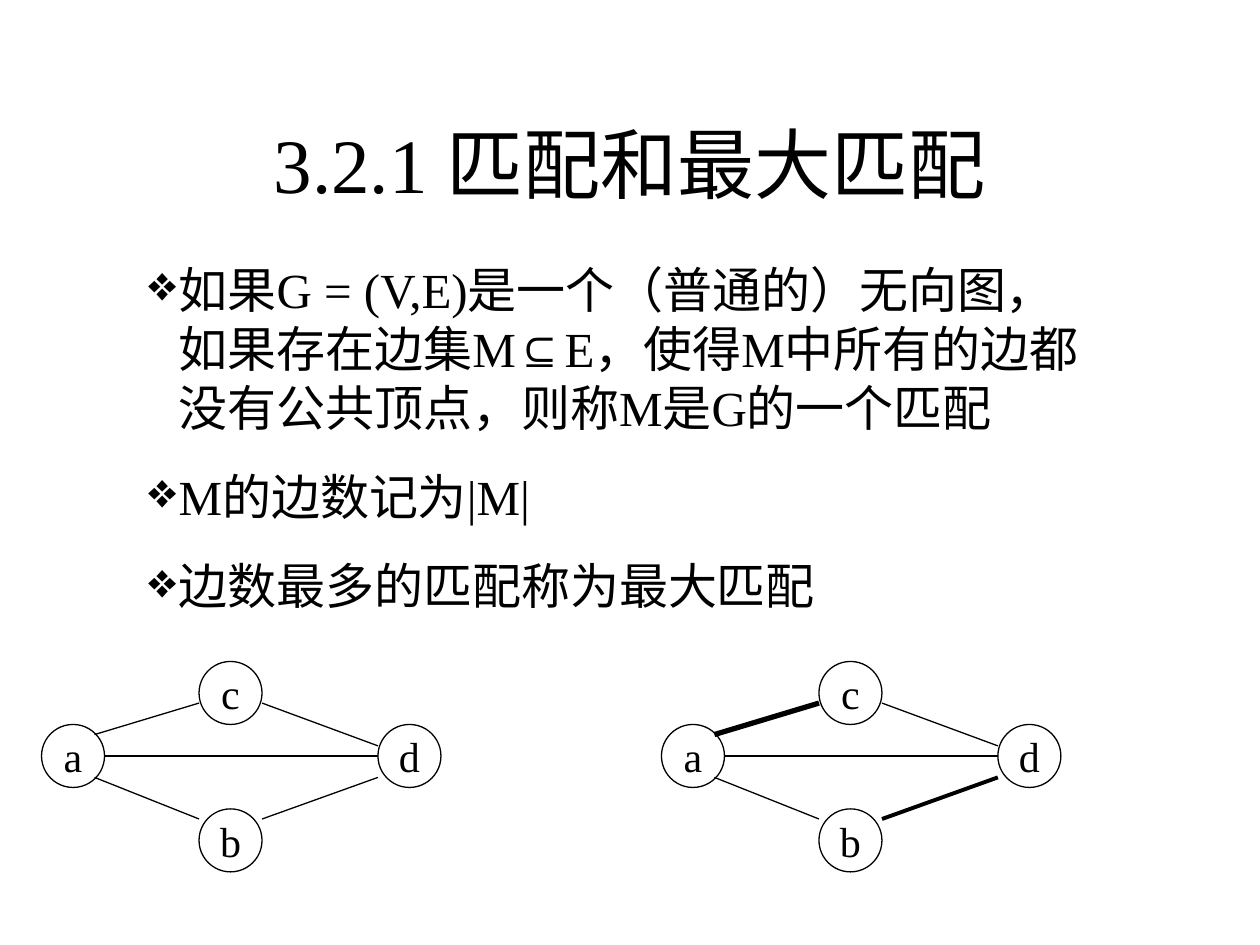
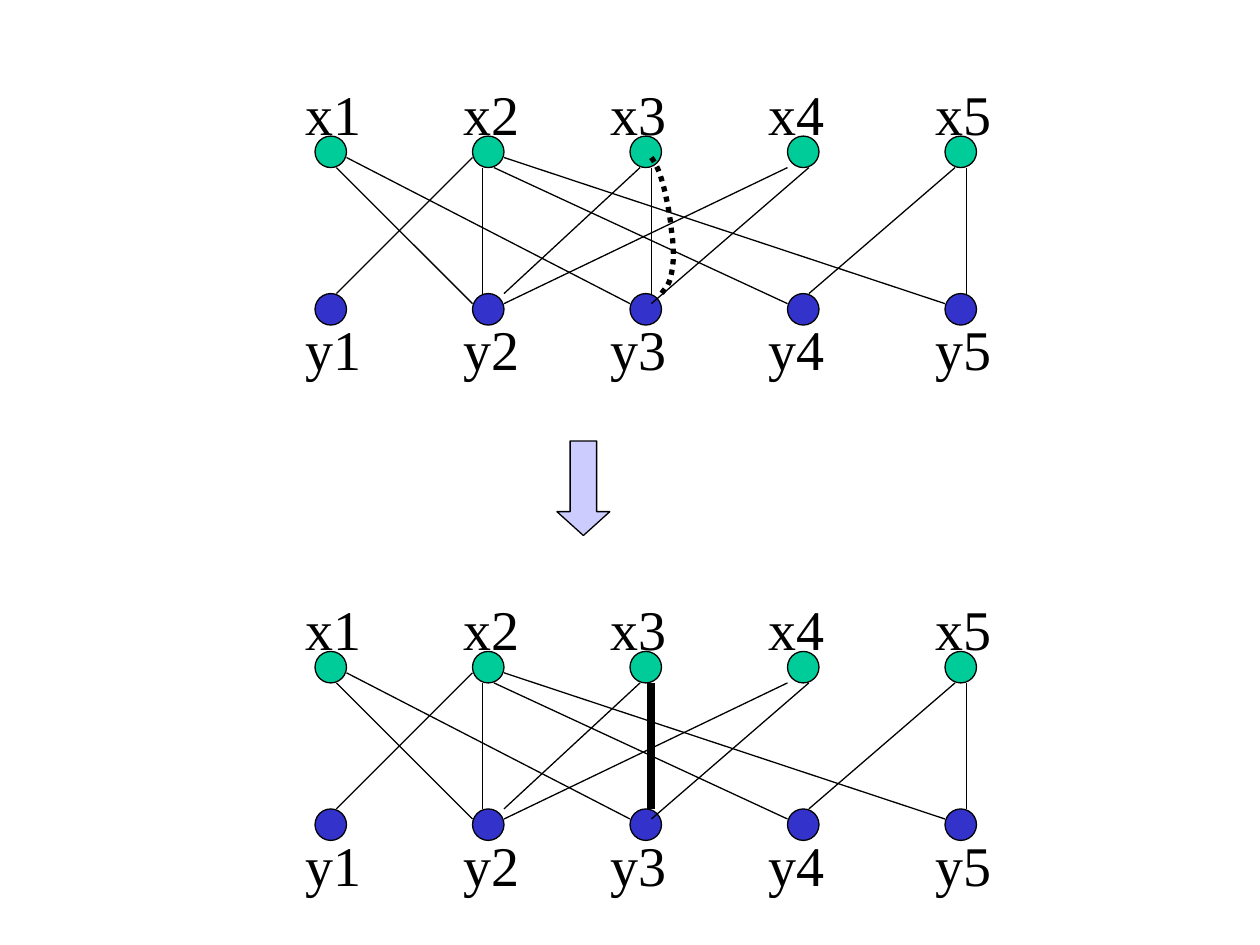
from lxml.etree import SubElement
from pptx import Presentation
from pptx.dml.color import RGBColor
from pptx.enum.dml import MSO_LINE
from pptx.enum.shapes import MSO_CONNECTOR, MSO_SHAPE
from pptx.enum.text import MSO_ANCHOR, PP_ALIGN
from pptx.oxml.ns import qn
from pptx.util import Inches, Pt

# Shared look
FONT = "Times New Roman"
BLACK, WHITE = "000000", "FFFFFF"
GREEN, BLUE, LILAC = "00CC99", "3333CC", "CCCCFF"
THIN = 0.75
colour = RGBColor.from_string


def draw_shape(page, kind, left, top, width, height, fill):
    shape = page.shapes.add_shape(
        kind, Inches(left), Inches(top), Inches(width), Inches(height))
    shape.shadow.inherit = False
    shape.fill.solid()
    shape.fill.fore_color.rgb = colour(fill)
    shape.line.color.rgb = colour(BLACK)
    shape.line.width = Pt(THIN)
    return shape


def draw_edge(page, x1, y1, x2, y2, weight=THIN):
    edge = page.shapes.add_connector(
        MSO_CONNECTOR.STRAIGHT, Inches(x1), Inches(y1), Inches(x2), Inches(y2))
    edge.line.color.rgb = colour(BLACK)
    edge.line.width = Pt(weight)
    SubElement(edge._element.spPr, qn("a:effectLst"))


deck = Presentation()
deck.slide_width, deck.slide_height = Inches(10), Inches(7.5)

# Slide 1: title
page = deck.slides.add_slide(deck.slide_layouts[5])
title = page.shapes.title
title.left, title.top = Inches(0.75), Inches(0.67)
title.width, title.height = Inches(8.5), Inches(1.25)
title.text_frame.vertical_anchor = MSO_ANCHOR.MIDDLE
para = title.text_frame.paragraphs[0]
para.alignment = PP_ALIGN.CENTER
span = para.add_run()
span.text = "3.2.1 匹配和最大匹配"
span.font.size = Pt(44)

# Slide 1: definitions
definitions = [
    ["如果G = (V,E)是一个（普通的）无向图，如果存在边集M", "⊆",
     "E，使得M中所有的边都没有公共顶点，则称M是G的一个匹配"],
    ["M的边数记为|M|"],
    ["边数最多的匹配称为最大匹配"],
]
box = page.shapes.add_textbox(Inches(1.08), Inches(2.01), Inches(7.75), Inches(2.92))
frame = box.text_frame
frame.word_wrap = True
for index, pieces in enumerate(definitions):
    para = frame.add_paragraph() if index else frame.paragraphs[0]
    properties = para._p.get_or_add_pPr()
    properties.set("marL", str(Inches(0.24)))
    properties.set("indent", str(-Inches(0.24)))
    SubElement(properties, qn("a:buChar"), char="❖")
    if index:
        para.space_before = Pt(17.5)
    for piece in pieces:
        span = para.add_run()
        span.text = piece
        span.font.size = Pt(28)
        if piece == "⊆":
            span.font.name = "Arial"

# Slide 1: the graph, plain and with its matching in bold
vertices = [("a", 0, 5.75), ("b", 1.25, 6.42), ("c", 1.25, 5.25), ("d", 2.67, 5.75)]
graph_edges = {
    "ac": (0.42, 5.83, 1.25, 5.58),
    "ab": (0.42, 6.17, 1.25, 6.5),
    "bd": (1.75, 6.5, 2.67, 6.17),
    "cd": (1.75, 5.58, 2.67, 5.92),
    "ad": (0.5, 6, 2.67, 6),
}
for left, matching in [(0.33, {}), (5.25, {"ac": 3, "bd": 2.25})]:
    for name, x, y in vertices:
        vertex = draw_shape(page, MSO_SHAPE.OVAL, left + x, y, 0.5, 0.5, WHITE)
        vertex.text_frame.word_wrap = False
        vertex.text_frame.vertical_anchor = MSO_ANCHOR.MIDDLE
        para = vertex.text_frame.paragraphs[0]
        para.alignment = PP_ALIGN.CENTER
        span = para.add_run()
        span.text = name
        span.font.size = Pt(24)
    for name, (x1, y1, x2, y2) in graph_edges.items():
        draw_edge(page, left + x1, y1, left + x2, y2, matching.get(name, THIN))

# Slide 2: bipartite graph before and after matching x3 with y3
page = deck.slides.add_slide(deck.slide_layouts[6])
label_lefts = [2.33, 3.58, 4.75, 6, 7.33]
rows = [("x", 0, -0.5, GREEN), ("y", 1.25, 1.37, BLUE)]
# Heights are measured from the top of the x row
bipartite_edges = {
    "x1y2": (2.67, 0.25, 3.75, 1.33),
    "x1y3": (2.75, 0.17, 5, 1.33),
    "x2y1": (3.75, 0.17, 2.67, 1.25),
    "x2y4": (3.92, 0.25, 6.25, 1.33),
    "x2y5": (4, 0.17, 7.5, 1.33),
    "x2y2": (3.83, 0.25, 3.83, 1.25),
    "x3y2": (5.08, 0.25, 4, 1.25),
    "x3y3": (5.17, 0.25, 5.17, 1.25),
    "x4y2": (6.25, 0.25, 4, 1.33),
    "x4y3": (6.42, 0.25, 5.17, 1.33),
    "x5y4": (7.58, 0.25, 6.42, 1.25),
    "x5y5": (7.67, 0.25, 7.67, 1.25),
}
for top, weights in [(5.17, {"x2y2": 1, "x3y3": 4.5}), (1.08, {})]:
    for letter, row_top, label_top, fill in rows:
        for index, label_left in enumerate(label_lefts):
            draw_shape(page, MSO_SHAPE.OVAL, 2.5 + 1.25 * index, top + row_top,
                       0.25, 0.25, fill)
            box = page.shapes.add_textbox(Inches(label_left), Inches(top + label_top),
                                          Inches(0.75), Inches(0.64))
            box.text_frame.word_wrap = True
            span = box.text_frame.paragraphs[0].add_run()
            span.text = f"{letter}{index + 1}"
            span.font.size = Pt(32)
    for name, (x1, y1, x2, y2) in bipartite_edges.items():
        draw_edge(page, x1, top + y1, x2, top + y2, weights.get(name, THIN))

# Slide 2: arrow between the two states
arrow = draw_shape(page, MSO_SHAPE.DOWN_ARROW, 4.42, 3.5, 0.42, 0.75, LILAC)
arrow.adjustments[1] = 0.45

# Slide 2: dotted path along x3 and y3, sampled from joined Bezier curves
start = (5.17, 1.25)
curves = [
    [(5.19, 1.28), (5.22, 1.32), (5.25, 1.42)],
    [(5.28, 1.51), (5.32, 1.71), (5.33, 1.83)],
    [(5.35, 1.96), (5.35, 2.08), (5.33, 2.17)],
    [(5.32, 2.25), (5.28, 2.29), (5.25, 2.33)],
]
STEPS = 6
points = [start]
for first, second, end in curves:
    origin = points[-1]
    for step in range(1, STEPS + 1):
        t = step / STEPS
        points.append(tuple(
            (1 - t) ** 3 * p0 + 3 * (1 - t) ** 2 * t * p1
            + 3 * (1 - t) * t ** 2 * p2 + t ** 3 * p3
            for p0, p1, p2, p3 in zip(origin, first, second, end)))
builder = page.shapes.build_freeform(Inches(start[0]), Inches(start[1]))
builder.add_line_segments([(Inches(x), Inches(y)) for x, y in points[1:]], close=False)
path_curve = builder.convert_to_shape()
path_curve.shadow.inherit = False
path_curve.fill.background()
path_curve.line.color.rgb = colour(BLACK)
path_curve.line.width = Pt(3)
path_curve.line.dash_style = MSO_LINE.ROUND_DOT

# Typeface and colour of all text
for page in deck.slides:
    for shape in page.shapes:
        if shape.has_text_frame:
            for para in shape.text_frame.paragraphs:
                for span in para.runs:
                    span.font.name = span.font.name or FONT
                    span.font.color.rgb = colour(BLACK)

deck.save("out.pptx")
